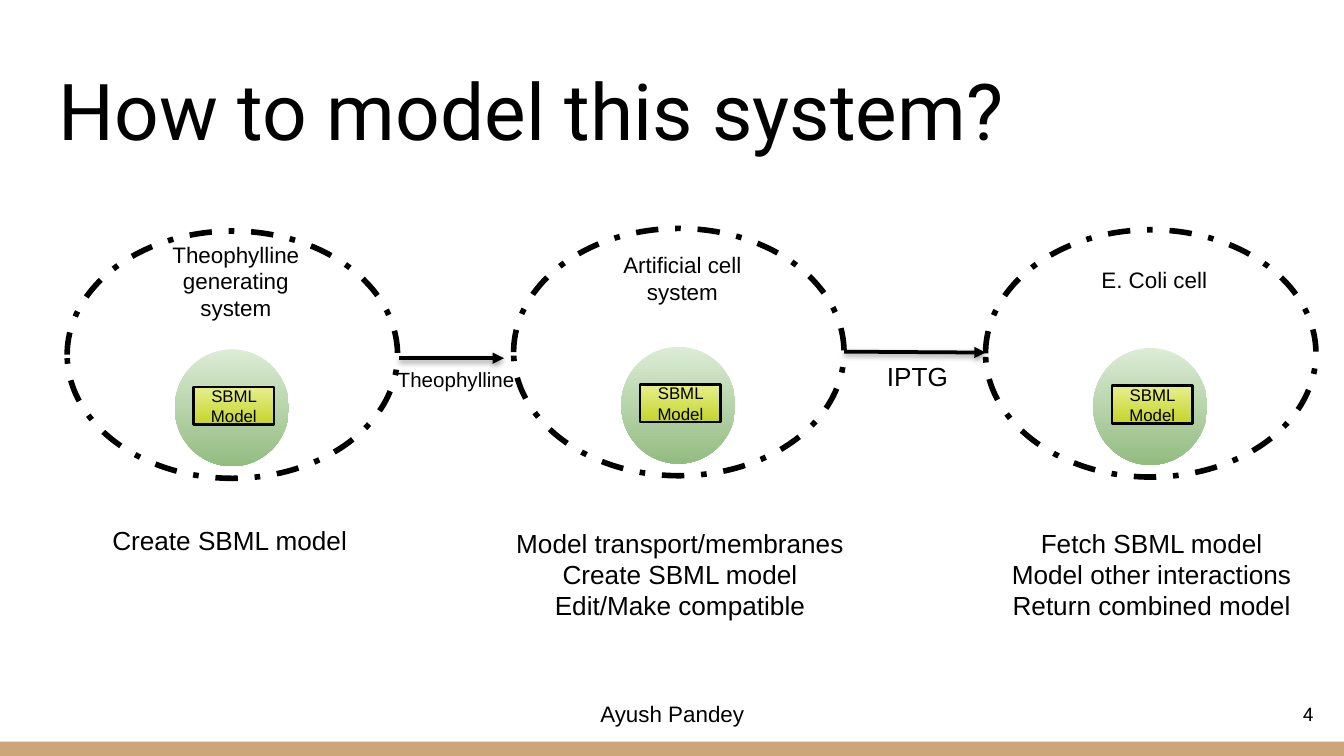
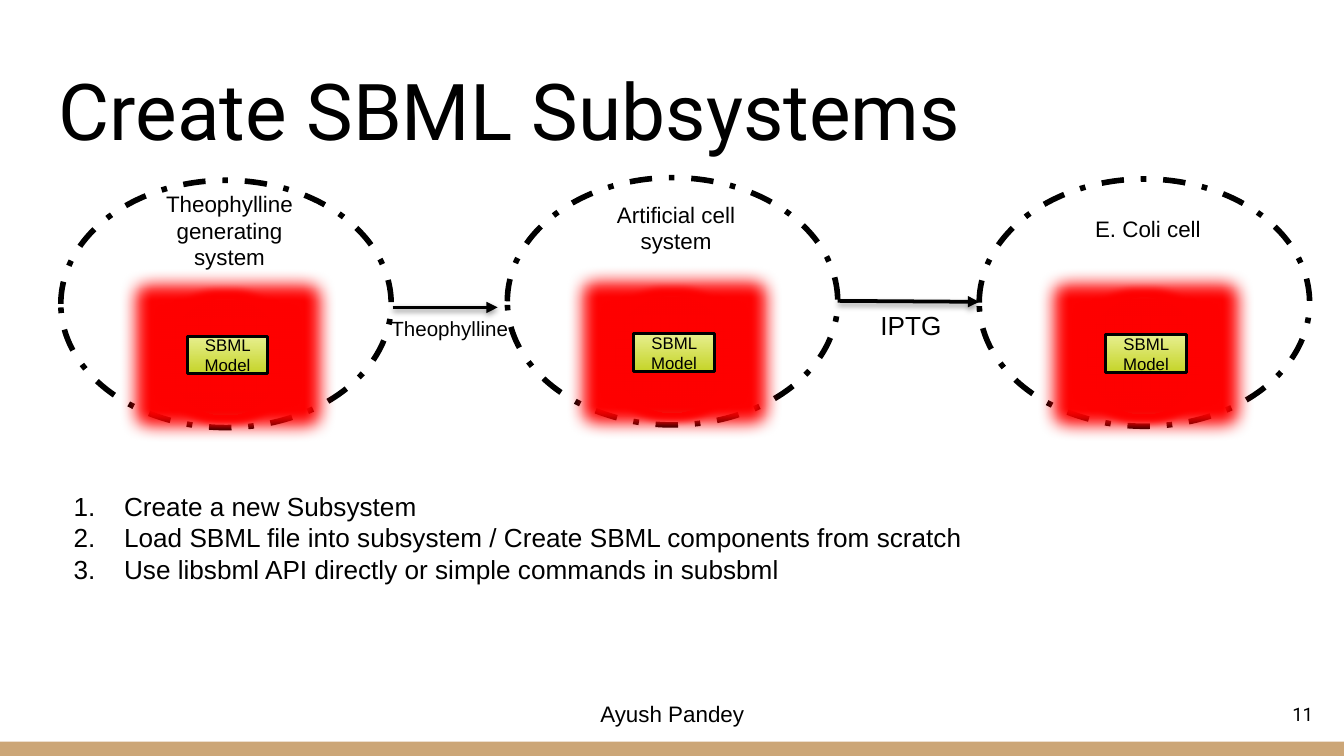
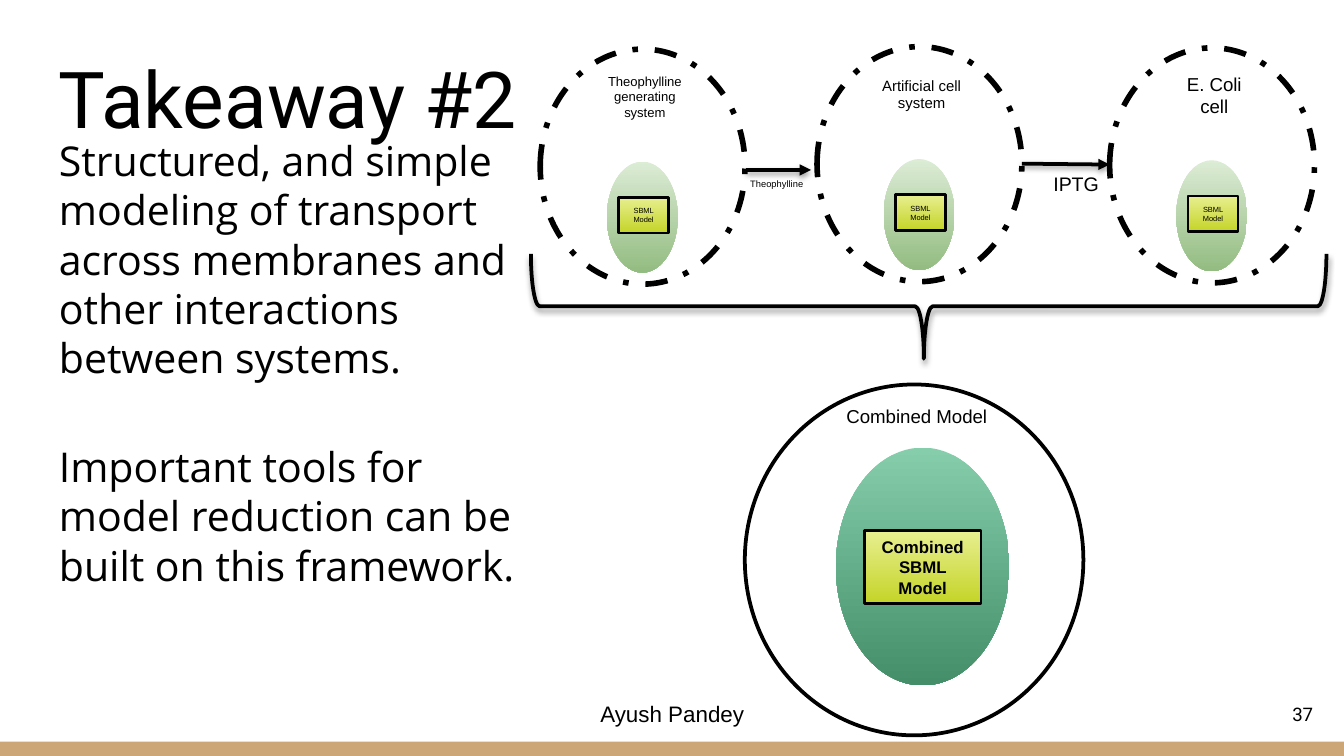
import pptx
import pptx.dml.color
import pptx.enum.dml
import pptx.enum.shapes
import pptx.enum.text
import pptx.oxml
import pptx.oxml.ns
import pptx.util
import lxml.etree

Pt = pptx.util.Pt
SHAPE = pptx.enum.shapes.MSO_SHAPE
ALIGN = pptx.enum.text.PP_ALIGN
ANCHOR = pptx.enum.text.MSO_ANCHOR
qn = pptx.oxml.ns.qn

COLORS = {
    "ink": "000000",
    "paper": "FFFFFF",
    "band": "CCA677",
    "glow": "FF0000",
}
GRADIENTS = {
    "core": ("DCECD5", "93BC81"),
    "combined core": ("86CEAB", "448E6A"),
    "model": ("E7EF8F", "C5D428"),
}
PAGE_WIDTH, PAGE_HEIGHT = 720, 405
INSET = 7.2
TIGHT = (INSET, 3.6)
CELLS = [  # left and top inside the diagram, label
    (0, 1.4, "Theophylline generating system"),
    (239.2, 0, "Artificial cell system"),
    (492, 0.7, "E. Coli cell"),
]


def rgb(hex_string):
    return pptx.dml.color.RGBColor.from_string(hex_string)


def add_element(parent, tag, **attributes):
    return lxml.etree.SubElement(parent, qn(tag), attributes)


def add_color(parent, name, alpha):
    color = add_element(parent, "a:srgbClr", val=COLORS[name])
    add_element(color, "a:alpha", val=str(alpha * 1000))


def add_shadow(effects):
    shadow = add_element(effects, "a:outerShdw", blurRad=str(Pt(3.1)), dist=str(Pt(1.6)),
                         dir="5400000", rotWithShape="0")
    add_color(shadow, "ink", 38)


def add_glow(effects, radius):
    glow = add_element(effects, "a:glow", rad=str(Pt(radius)))
    add_color(glow, "glow", 100)


def write(shape, lines, size, font="Arial", align=ALIGN.LEFT, anchor=ANCHOR.TOP,
          inset=(INSET, INSET), wrap=True, bold=False):
    """Put one paragraph per line into the shape; inset is (sides, top and bottom)."""
    frame = shape.text_frame
    frame.word_wrap = wrap
    frame.vertical_anchor = anchor
    frame.margin_left = frame.margin_right = Pt(inset[0])
    frame.margin_top = frame.margin_bottom = Pt(inset[1])
    frame.text = "\n".join(lines)
    for para in frame.paragraphs:
        para.alignment = align
        for span in para.runs:
            span.font.size = Pt(size)
            span.font.name = font
            span.font.bold = bold
            span.font.color.rgb = rgb(COLORS["ink"])
    return frame.paragraphs


def add_text(shapes, at, lines, size, **style):
    box = shapes.add_textbox(*map(Pt, at))
    return write(box, lines, size, **style)


def add_figure(shapes, kind, at, fill=None, gradient=None, line=0, glow=0):
    figure = shapes.add_shape(kind, *map(Pt, at))
    figure.shadow.inherit = False
    if gradient:
        figure.fill.gradient()
        figure.fill.gradient_angle = 270
        for stop, color in zip(figure.fill.gradient_stops, GRADIENTS[gradient]):
            stop.color.rgb = rgb(color)
    elif fill:
        figure.fill.solid()
        figure.fill.fore_color.rgb = rgb(COLORS[fill])
    else:
        figure.fill.background()
    if line:
        figure.line.color.rgb = rgb(COLORS["ink"])
        figure.line.width = Pt(line)
    else:
        figure.line.fill.background()
    if glow:
        add_glow(figure.element.spPr.find(qn("a:effectLst")), glow)
    return figure


def add_arrow(shapes, start, end):
    arrow = shapes.add_connector(pptx.enum.shapes.MSO_CONNECTOR.STRAIGHT,
                                 *map(Pt, start + end))
    arrow.line.color.rgb = rgb(COLORS["ink"])
    arrow.line.width = Pt(2)
    add_element(arrow.line._get_or_add_ln(), "a:tailEnd", type="triangle")
    add_shadow(add_element(arrow.element.spPr, "a:effectLst"))


def add_model(shapes, at, text, size, bold=False, glow=0):
    model = add_figure(shapes, SHAPE.RECTANGLE, at, gradient="model", line=1.5, glow=glow)
    write(model, [text], size, align=ALIGN.CENTER, anchor=ANCHOR.MIDDLE, bold=bold)


def add_diagram(page, origin, scale=(1, 1), label_sizes=(12, 12, 12), model_size=9,
                arrow_sizes=(11, 14), glowing=False):
    """Draw three cells joined by two labelled arrows, stretched from the origin."""
    def place(left, top):
        return origin[0] + left * scale[0], origin[1] + top * scale[1]

    for (left, top, label), label_size in zip(CELLS, label_sizes):
        cell = page.shapes.add_group_shape().shapes

        def area(dx, dy, width, height):
            return place(left + dx, top + dy) + (width * scale[0], height * scale[1])

        membrane = add_figure(cell, SHAPE.OVAL, area(0, 0, 177, 132.5), line=3)
        membrane.line.dash_style = pptx.enum.dml.MSO_LINE.DASH_DOT
        add_figure(cell, SHAPE.OVAL, area(57.6, 63.4, 61.2, 62.6), gradient="core",
                   glow=8 if glowing else 0)
        add_model(cell, area(67.7, 83.5, 43.2, 20.2), "SBML Model", model_size,
                  glow=18 if glowing else 0)
        add_text(cell, area(43.6, 16.6, 93.6, 20.2), [label], label_size,
                 align=ALIGN.CENTER, anchor=ANCHOR.MIDDLE)

    add_arrow(page.shapes, place(177.8, 69.5), place(234, 69.5))
    add_arrow(page.shapes, place(416.2, 66), place(492, 66.5))
    signals = [("Theophylline", 170, 70.5, 5.76), ("IPTG", 432, 67, 2.4)]
    for (text, left, top, ems), size in zip(signals, arrow_sizes):
        at = place(left, top) + (2 * INSET + ems * size, INSET + 1.2 * size)
        add_text(page.shapes, at, [text], size, inset=TIGHT, wrap=False)


def add_page(deck, title, number, title_top=25.2):
    page = deck.slides.add_slide(deck.slide_layouts[6])
    add_figure(page.shapes, SHAPE.RECTANGLE, (0, 397.4, PAGE_WIDTH, 7.6), fill="band")
    add_text(page.shapes, (312.3, 371.5, 95.8, 21.6), ["Ayush Pandey"], 12,
             align=ALIGN.CENTER, inset=TIGHT)
    add_text(page.shapes, (24.5, title_top, 671, 65.5), [title], 42, font="Roboto",
             anchor=ANCHOR.BOTTOM)
    add_text(page.shapes, (667.4, 367.2, 43.2, 31), [str(number)], 10, font="Roboto",
             align=ALIGN.RIGHT, anchor=ANCHOR.MIDDLE)
    return page


def add_steps(page, at, steps):
    for para in add_text(page.shapes, at, steps, 14, inset=TIGHT):
        properties = para._p.get_or_add_pPr()
        properties.set("marL", str(Pt(27)))
        properties.set("indent", str(Pt(-27)))
        add_element(properties, "a:buFont", typeface="+mj-lt")
        add_element(properties, "a:buAutoNum", type="arabicPeriod")


def add_combined_model(page):
    group = page.shapes.add_group_shape().shapes
    add_figure(group, SHAPE.OVAL, (399, 206, 181.4, 188), fill="paper", line=2)
    add_figure(group, SHAPE.OVAL, (447.8, 239.8, 92.9, 127.4), gradient="combined core")
    add_model(group, (463, 284.4, 62.6, 38.9), "Combined SBML Model", 9, bold=True)
    add_text(group, (446.4, 213.1, 90.7, 19.4), ["Combined Model"], 10, inset=TIGHT,
             wrap=False)


def add_brace(page, at):
    brace = add_figure(page.shapes, SHAPE.RIGHT_BRACE, at, line=2)
    brace.rotation = 90
    brace.adjustments[0] = 0.083
    brace.adjustments[1] = 0.506
    add_shadow(brace.element.spPr.find(qn("a:effectLst")))


def add_question_page(deck):
    page = add_page(deck, "How to model this system?", 4)
    add_diagram(page, (36, 122.4))
    tasks = [
        ((44.6, 277.2, 157, 24.5), ["Create SBML model"]),
        ((265.7, 278.8, 197.3, 58.3),
         ["Model transport/membranes", "Create SBML model", "Edit/Make compatible"]),
        ((528.5, 278.8, 177, 75),
         ["Fetch SBML model", "Model other interactions", "Return combined model"]),
    ]
    for at, lines in tasks:
        add_text(page.shapes, at, lines, 14, align=ALIGN.CENTER, inset=TIGHT)


def add_subsystems_page(deck):
    page = add_page(deck, "Create SBML Subsystems", 11)
    add_diagram(page, (32.6, 95.2), glowing=True)
    add_steps(page, (32.4, 259.2, 669.6, 75), [
        "Create a new Subsystem",
        "Load SBML file into subsystem / Create SBML components from scratch",
        "Use libsbml API directly or simple commands in subsbml",
    ])


def add_takeaway_page(deck):
    page = add_page(deck, "Takeaway #2", 37, title_top=18.7)
    takeaways = add_text(page.shapes, (24.5, 65.5, 265, 264.2), [
        "Structured, and simple modeling of transport across membranes and other "
        "interactions between systems.",
        "Important tools for model reduction can be built on this framework.",
    ], 22, font="Open Sans")
    for para in takeaways:
        para.line_spacing = 1.0
        para.space_before = para.space_after = Pt(16)
    add_combined_model(page)
    add_diagram(page, (289.4, 25), scale=(0.62, 0.95), label_sizes=(7, 8, 10),
                model_size=4, arrow_sizes=(5, 10.5))
    add_brace(page, (469.4, -49, 56.2, 426.2))


def main():
    deck = pptx.Presentation()
    deck.slide_width, deck.slide_height = Pt(PAGE_WIDTH), Pt(PAGE_HEIGHT)
    add_question_page(deck)
    add_subsystems_page(deck)
    add_takeaway_page(deck)
    deck.save("out.pptx")


if __name__ == "__main__":
    main()
